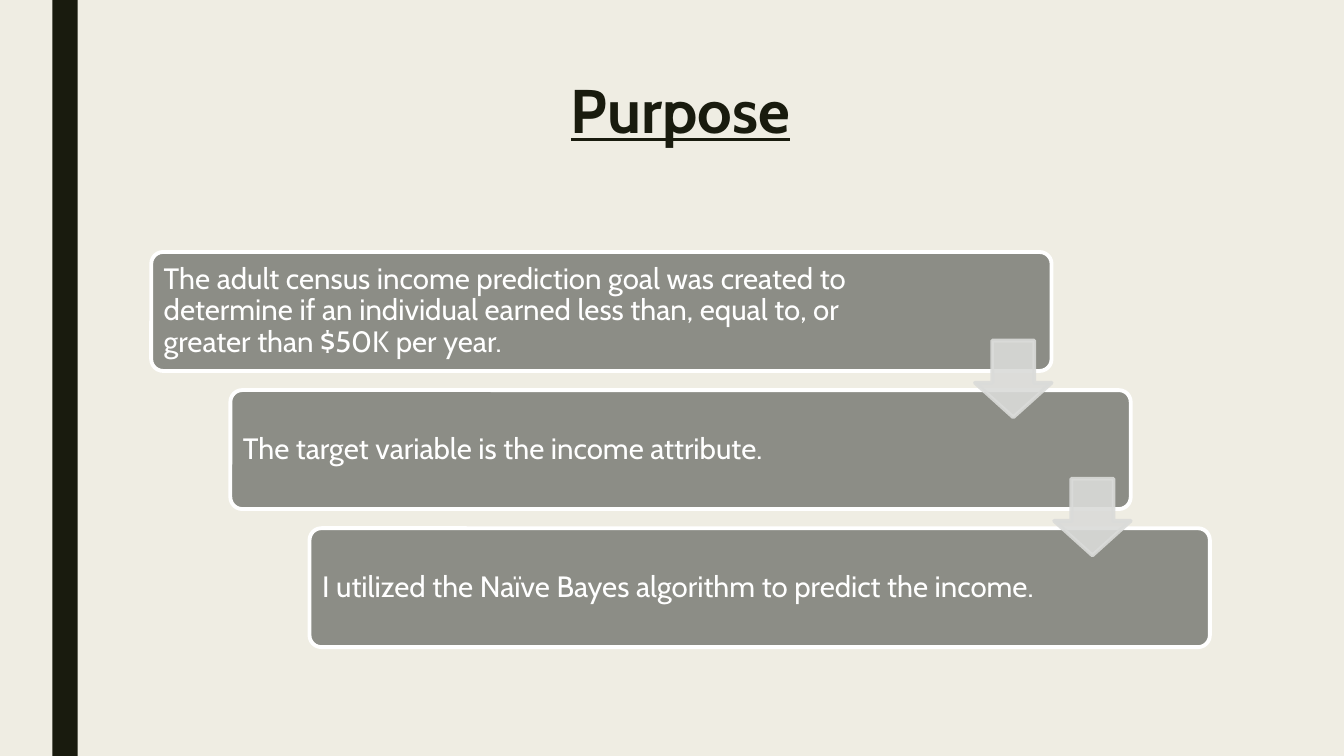
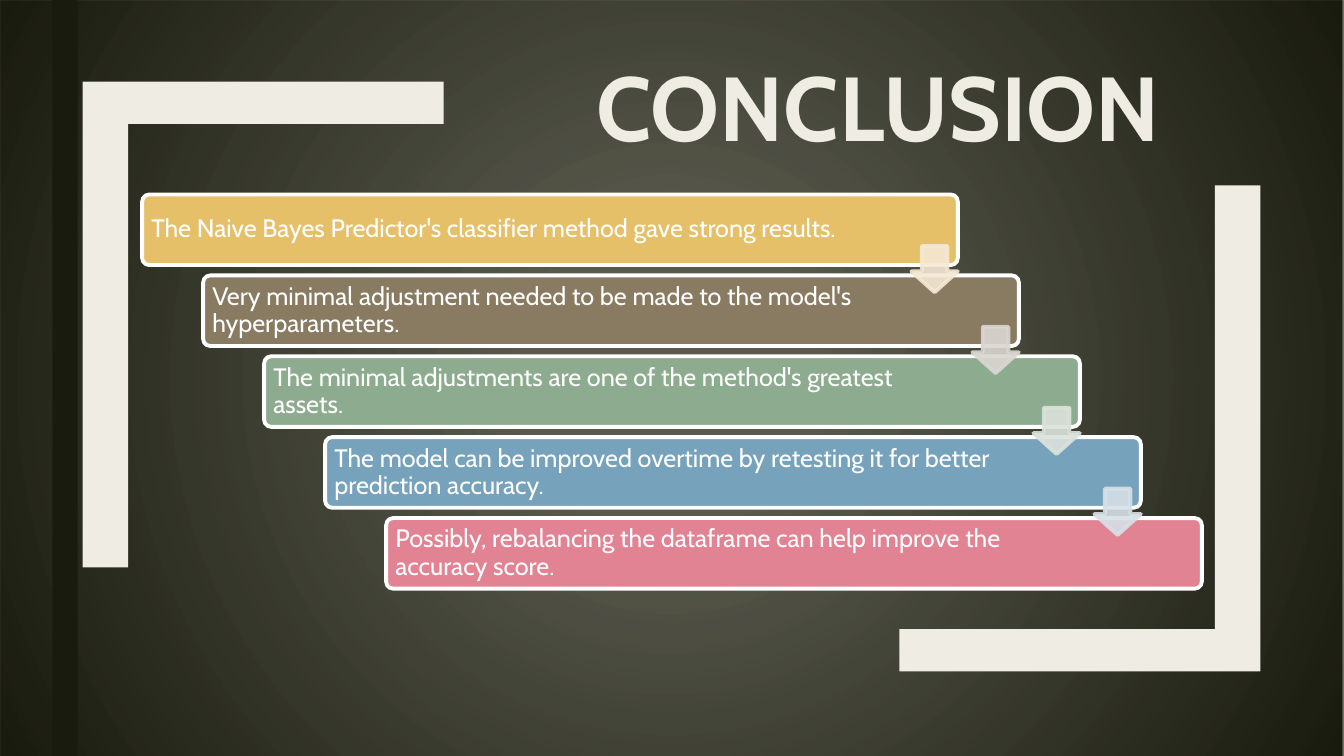
from lxml.etree import SubElement
from pptx import Presentation
from pptx.dml.color import RGBColor
from pptx.enum.shapes import MSO_SHAPE
from pptx.enum.text import MSO_ANCHOR, MSO_AUTO_SIZE, PP_ALIGN
from pptx.oxml import parse_xml
from pptx.oxml.ns import nsdecls, qn
from pptx.util import Inches, Pt

SLIDE_WIDTH, SLIDE_HEIGHT = 13.33, 7.5
FONT = "Cabin"
COLORS = {
    "cream": "EFEDE3", "dark": "191B0E", "white": "FFFFFF",
    "gray": "8C8D86", "light_gray": "DADBD9",
    "gold": "E6C069", "light_gold": "F5E8D4",
    "brown": "897B61", "light_brown": "DAD7D2",
    "green": "8DAB8E", "light_green": "DBE2DB",
    "blue": "77A2BB", "light_blue": "D6E0E7",
    "pink": "E28394",
}


def rgb(name):
    return RGBColor.from_string(COLORS[name])


def paint(shape, fill, line=None):
    """Set a flat fill and an optional outline, without shadow."""
    shape.shadow.inherit = False
    shape.fill.solid()
    shape.fill.fore_color.rgb = rgb(fill)
    if line:
        shape.line.color.rgb = rgb(line)
        shape.line.width = Pt(2.75)
    else:
        shape.line.fill.background()


def add_block(slide, kind, box, fill, line=None, adjustments=()):
    shape = slide.shapes.add_shape(kind, *map(Inches, box))
    paint(shape, fill, line)
    for index, value in enumerate(adjustments):
        shape.adjustments[index] = value
    return shape


def write_text(shape, text, size, color, align=PP_ALIGN.LEFT, anchor=MSO_ANCHOR.MIDDLE,
               bold=False, underline=False, spacing=0.9, margins=(0.1, 0.05, 0.1, 0.05)):
    frame = shape.text_frame
    frame.word_wrap = True
    frame.auto_size = MSO_AUTO_SIZE.NONE
    frame.vertical_anchor = anchor
    (frame.margin_left, frame.margin_top,
     frame.margin_right, frame.margin_bottom) = map(Inches, margins)
    paragraph = frame.paragraphs[0]
    paragraph.alignment = align
    paragraph.line_spacing = spacing
    run = paragraph.add_run()
    run.text = text
    font = run.font
    font.name, font.size, font.bold, font.underline = FONT, Pt(size), bold, underline
    font.color.rgb = rgb(color)


def add_title(slide, text, box, size, color, **text_format):
    """Format the title placeholder and bring it to the front."""
    title = slide.shapes.title
    title.left, title.top, title.width, title.height = map(Inches, box)
    write_text(title, text, size, color, align=PP_ALIGN.CENTER, bold=True,
               spacing=0.89, **text_format)
    title.element.getparent().append(title.element)


def add_arrow(slide, left, top, size, color):
    arrow = add_block(slide, MSO_SHAPE.DOWN_ARROW, (left, top, size, size),
                      color, color, (0.55, 0.45))
    for color_element in arrow.element.spPr.iter(qn("a:srgbClr")):
        SubElement(color_element, qn("a:alpha"), val="90000")


def add_staircase(slide, steps, first, last, box_size, text_size, margins,
                  arrow_size, arrow_drop):
    """Place equal steps from first to last corner, linked by arrows."""
    width, height = box_size
    gaps = len(steps) - 1
    corners = [tuple(start + (end - start) * index / gaps
                     for start, end in zip(first, last))
               for index in range(len(steps))]
    for (left, top), (text, fill, _) in zip(corners, steps):
        step = add_block(slide, MSO_SHAPE.ROUNDED_RECTANGLE, (left, top, width, height),
                         fill, "white", (0.1,))
        write_text(step, text, text_size, "white", margins=margins)
    for (left, top), (_, _, arrow_color) in zip(corners[:-1], steps):
        add_arrow(slide, left + width - arrow_size, top + arrow_drop, arrow_size, arrow_color)


def add_bracket(slide, corner, direction):
    """Draw an L-shaped bracket; direction 1 opens down-right, -1 up-left."""
    offsets = [(0, 0), (3.58, 0), (3.58, 0.42), (0.45, 0.42), (0.45, 4.82), (0, 4.82)]
    points = [(Inches(corner[0] + direction * x), Inches(corner[1] + direction * y))
              for x, y in offsets]
    builder = slide.shapes.build_freeform(*points[0])
    builder.add_line_segments(points[1:], close=True)
    paint(builder.convert_to_shape(), "cream")


def add_vignette(slide):
    """Cover the slide with a dark radial gradient, lighter in the middle."""
    cover = add_block(slide, MSO_SHAPE.RECTANGLE, (0, 0, SLIDE_WIDTH, SLIDE_HEIGHT), "dark")
    dark = COLORS["dark"]
    gradient = parse_xml(
        f'<a:gradFill {nsdecls("a")} rotWithShape="1"><a:gsLst>'
        f'<a:gs pos="20000"><a:srgbClr val="{dark}"><a:alpha val="70000"/></a:srgbClr></a:gs>'
        f'<a:gs pos="100000"><a:srgbClr val="{dark}"/></a:gs></a:gsLst>'
        '<a:path path="circle"><a:fillToRect l="50000" t="50000" r="50000" b="50000"/></a:path>'
        '</a:gradFill>')
    properties = cover.element.spPr
    properties.replace(properties.find(qn("a:solidFill")), gradient)


def new_slide(presentation):
    """Add a title-only slide with the vertical side band."""
    slide = presentation.slides.add_slide(presentation.slide_layouts[5])
    add_block(slide, MSO_SHAPE.RECTANGLE, (0.52, 0, 0.25, SLIDE_HEIGHT), "dark")
    return slide


def build_purpose(presentation):
    slide = new_slide(presentation)
    add_title(slide, "Purpose", (1.5, 0.75, 10.5, 1.62), 44, "dark",
              anchor=MSO_ANCHOR.TOP, underline=True)
    texts = [
        "The adult census income prediction goal was created to determine if an "
        "individual earned less than, equal to, or greater than $50K per year.",
        "The target variable is the income attribute.",
        "I utilized the Naïve Bayes algorithm to predict the income.",
    ]
    add_staircase(slide, [(text, "gray", "light_gray") for text in texts],
                  first=(1.5, 2.5), last=(3.07, 5.24), box_size=(8.93, 1.18),
                  text_size=21, margins=(0.09, 0.09, 1.65, 0.09),
                  arrow_size=0.76, arrow_drop=0.88)


def build_conclusion(presentation):
    slide = new_slide(presentation)
    add_vignette(slide)
    add_bracket(slide, (0.82, 0.81), 1)
    add_bracket(slide, (12.5, 6.66), -1)
    add_title(slide, "CONCLUSION", (4.14, 1.02, 9.14, 0.63), 64.8, "cream",
              anchor=MSO_ANCHOR.BOTTOM)
    steps = [
        ("The Naive Bayes Predictor's classifier method gave strong results.",
         "gold", "light_gold"),
        ("Very minimal adjustment needed to be made to the model's hyperparameters.",
         "brown", "light_brown"),
        ("The minimal adjustments are one of the method's greatest assets.",
         "green", "light_green"),
        ("The model can be improved overtime by retesting it for better prediction accuracy.",
         "blue", "light_blue"),
        ("Possibly, rebalancing the dataframe can help improve the accuracy score.",
         "pink", None),
    ]
    add_staircase(slide, steps, first=(1.41, 1.93), last=(3.83, 5.14), box_size=(8.09, 0.7),
                  text_size=18, margins=(0.07, 0.07, 1.14, 0.07),
                  arrow_size=0.46, arrow_drop=0.51)


def main():
    presentation = Presentation()
    presentation.slide_width = Inches(SLIDE_WIDTH)
    presentation.slide_height = Inches(SLIDE_HEIGHT)
    # Shared background
    background = presentation.slide_master.background.fill
    background.solid()
    background.fore_color.rgb = rgb("cream")
    # Slides
    build_purpose(presentation)
    build_conclusion(presentation)
    presentation.save("out.pptx")


if __name__ == "__main__":
    main()
